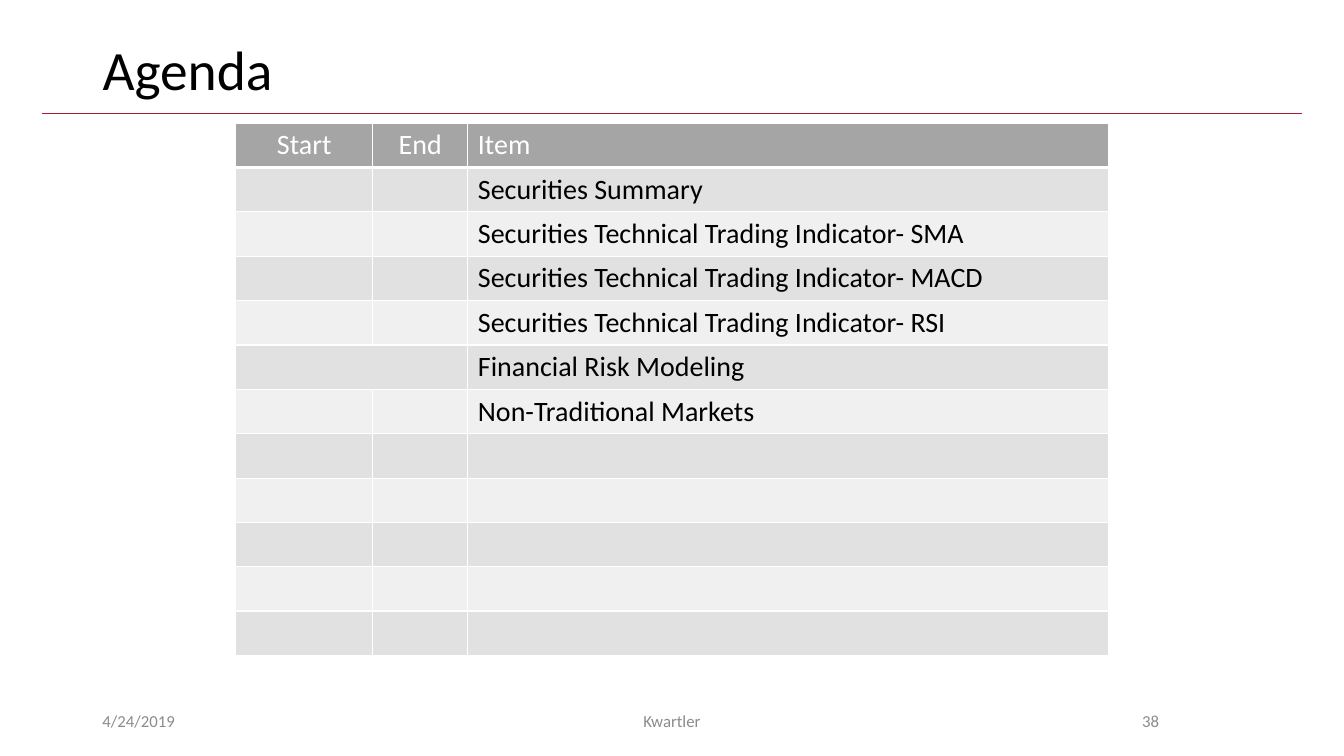
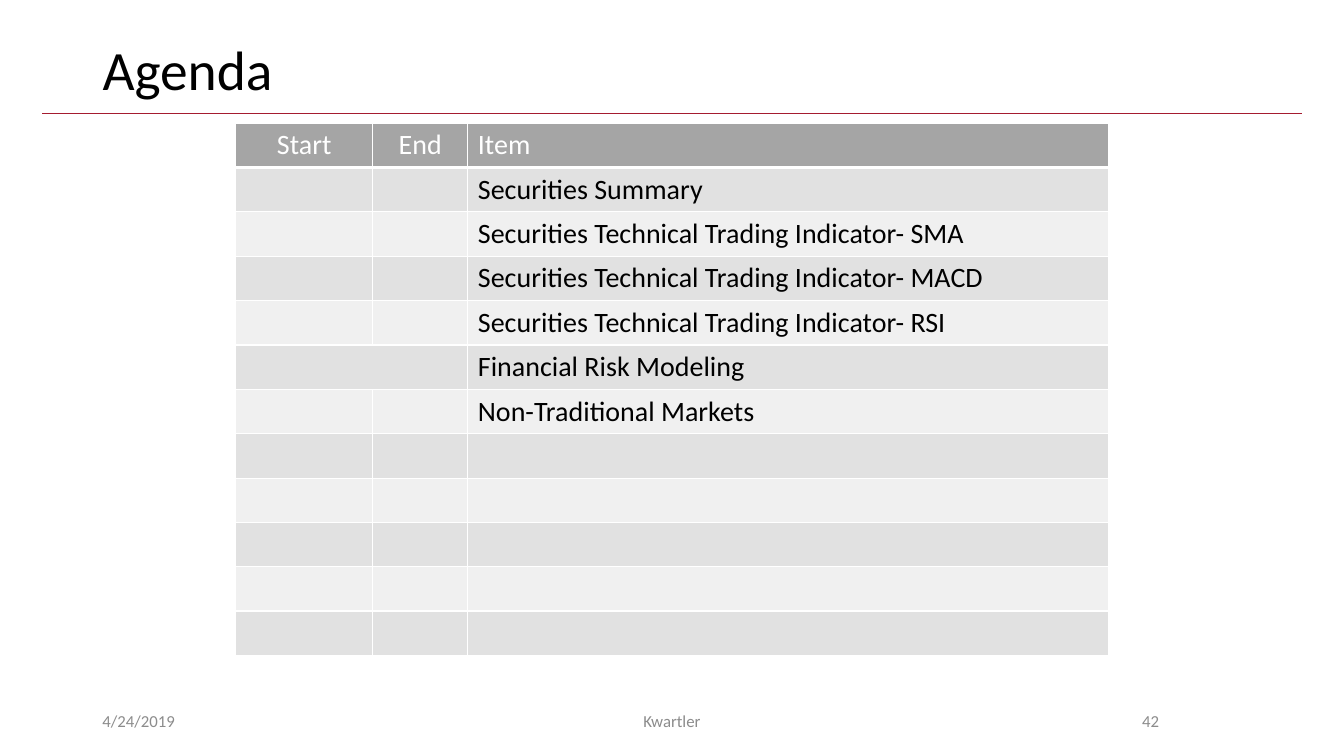
from pptx import Presentation
from pptx.dml.color import RGBColor
from pptx.enum.shapes import MSO_CONNECTOR
from pptx.enum.text import MSO_ANCHOR, MSO_AUTO_SIZE, PP_ALIGN
from pptx.oxml.ns import qn
from pptx.util import Cm, Pt
from lxml.etree import SubElement

FONT = "Calibri"
WHITE, BLACK, CRIMSON = "FFFFFF", "000000", "A51C30"
HEADER_FILL, DARK_BAND, LIGHT_BAND, FOOTER_GRAY = "A5A5A5", "E1E1E1", "F0F0F0", "8C8C8C"

TITLE_BOX = (2.33, 1.02, 29.21, 1.63)
TABLE_BOX = (5.94, 3.1, 22, 13.4)
FOOTER_BOX = (2.33, 17.65, 27.13, 1.02)
RULE_LEFT, RULE_RIGHT, RULE_TOP = 1.06, 32.8, 2.85

COLUMN_WIDTHS = (3.45, 2.4, 16.15)
HEADINGS = ("Start", "End", "Item")
ITEMS = (
    "Securities Summary",
    "Securities Technical Trading Indicator- SMA",
    "Securities Technical Trading Indicator- MACD",
    "Securities Technical Trading Indicator- RSI",
    "Financial Risk Modeling",
    "Non-Traditional Markets",
)
ROW_COUNT = 12
MERGED_ROW = 5


def color(code):
    return RGBColor.from_string(code)


def write(frame, text, size, ink=BLACK, align=PP_ALIGN.LEFT, spacing=None):
    para = frame.paragraphs[0]
    para.alignment = align
    para.line_spacing = spacing
    span = para.add_run()
    span.text = text
    span.font.name = FONT
    span.font.size = Pt(size)
    span.font.bold = False
    span.font.color.rgb = color(ink)


def add_border(cell, side, width):
    """Draw a white border; call before filling, since borders come first in the XML."""
    border = SubElement(cell._tc.get_or_add_tcPr(), qn(f"a:ln{side}"), w=str(Pt(width)))
    fill = SubElement(border, qn("a:solidFill"))
    SubElement(fill, qn("a:srgbClr"), val=WHITE)


def add_title(page, text, box):
    title = page.shapes.title
    title.left, title.top, title.width, title.height = map(Cm, box)
    frame = title.text_frame
    frame.auto_size = MSO_AUTO_SIZE.NONE
    frame.vertical_anchor = MSO_ANCHOR.MIDDLE
    write(frame, text, 39.6, spacing=0.9)


def add_rule(page):
    rule = page.shapes.add_connector(
        MSO_CONNECTOR.STRAIGHT, Cm(RULE_LEFT), Cm(RULE_TOP), Cm(RULE_RIGHT), Cm(RULE_TOP))
    rule.line.color.rgb = color(CRIMSON)
    rule.line.width = Pt(0.5)
    SubElement(rule._element.spPr, qn("a:effectLst"))


def style_cell(cell, row):
    for side in "LRT":
        add_border(cell, side, 3 if side == "T" and row == 1 else 1)
    add_border(cell, "B", 3 if row == 0 else 1)
    cell.fill.solid()
    band = DARK_BAND if row % 2 else LIGHT_BAND
    cell.fill.fore_color.rgb = color(band if row else HEADER_FILL)


def add_agenda(page, box):
    table = page.shapes.add_table(ROW_COUNT, len(HEADINGS), *map(Cm, box)).table
    table.first_row = table.horz_banding = False
    for column, width in zip(table.columns, COLUMN_WIDTHS):
        column.width = Cm(width)
    for index, row in enumerate(table.rows):
        row.height = Cm(box[3] / ROW_COUNT)
        for cell in row.cells:
            style_cell(cell, index)
    for column, heading in enumerate(HEADINGS):
        align = PP_ALIGN.LEFT if heading == "Item" else PP_ALIGN.CENTER
        write(table.cell(0, column).text_frame, heading, 20, WHITE, align)
    for row, item in enumerate(ITEMS, start=1):
        write(table.cell(row, 2).text_frame, item, 20)
    table.cell(MERGED_ROW, 0).merge(table.cell(MERGED_ROW, 1))


def add_footer(page, number, box):
    left, top, width, height = box
    parts = (
        ("4/24/2019", 0, 7.62, PP_ALIGN.LEFT),
        ("Kwartler", 8.89, 11.43, PP_ALIGN.CENTER),
        (str(number), width - 5.54, 5.54, PP_ALIGN.RIGHT),
    )
    for text, offset, part_width, align in parts:
        label = page.shapes.add_textbox(Cm(left + offset), Cm(top), Cm(part_width), Cm(height))
        label.text_frame.word_wrap = True
        label.text_frame.vertical_anchor = MSO_ANCHOR.MIDDLE
        write(label.text_frame, text, 12, FOOTER_GRAY, align)


def add_agenda_page(deck, number):
    page = deck.slides.add_slide(deck.slide_layouts.get_by_name("Title Only"))
    add_rule(page)
    add_title(page, "Agenda", TITLE_BOX)
    add_agenda(page, TABLE_BOX)
    add_footer(page, number, FOOTER_BOX)


def main():
    deck = Presentation()
    deck.slide_width, deck.slide_height = Cm(33.87), Cm(19.05)
    for number in (38, 42):
        add_agenda_page(deck, number)
    deck.save("out.pptx")


if __name__ == "__main__":
    main()
